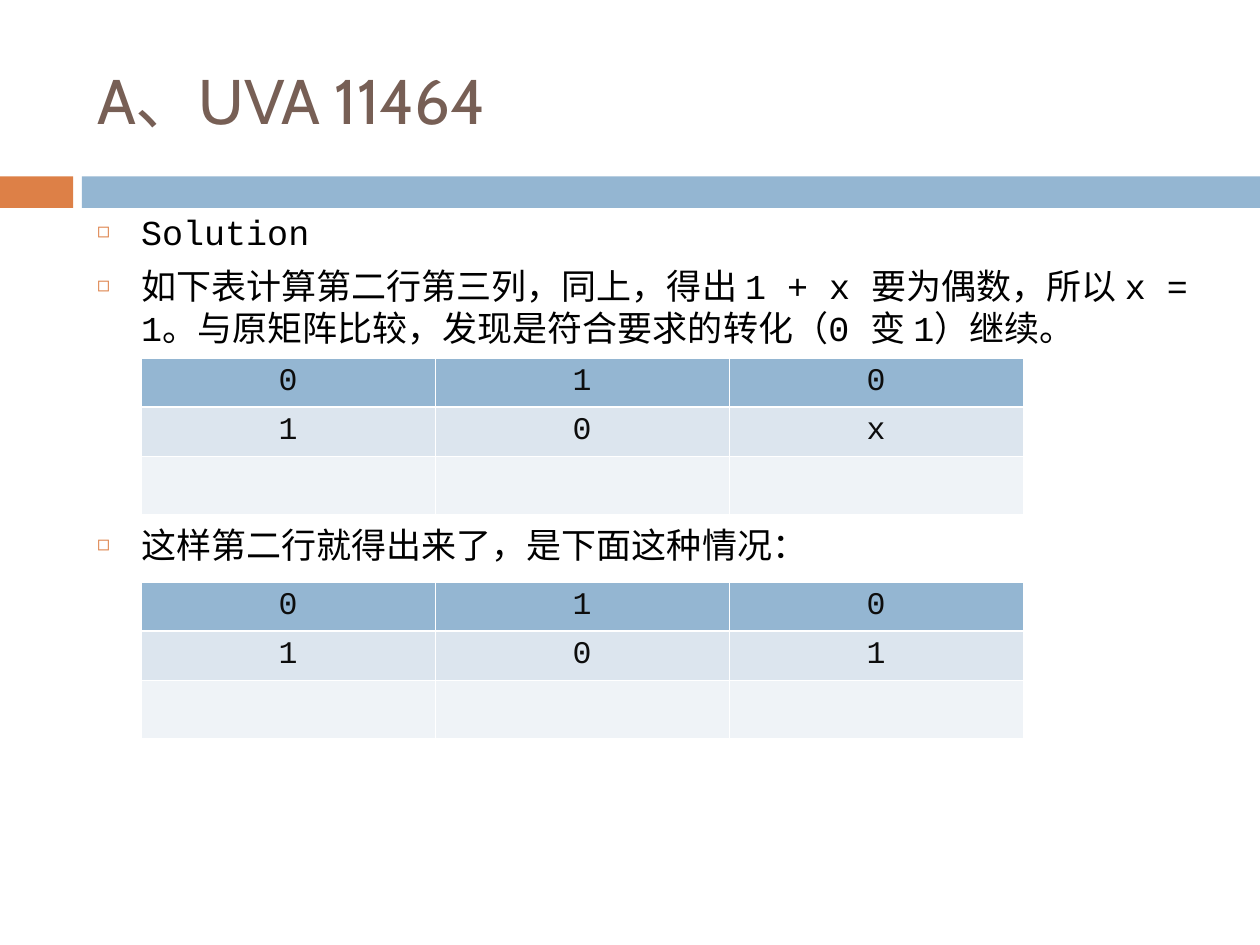
from dataclasses import dataclass

from lxml import etree
from pptx import Presentation
from pptx.dml.color import RGBColor
from pptx.enum.shapes import MSO_SHAPE
from pptx.enum.text import MSO_ANCHOR, MSO_AUTO_SIZE, PP_ALIGN
from pptx.oxml.ns import qn
from pptx.util import Inches, Pt

RECTANGLE = MSO_SHAPE.RECTANGLE
LEFT, CENTER = PP_ALIGN.LEFT, PP_ALIGN.CENTER
TOP, MIDDLE = MSO_ANCHOR.TOP, MSO_ANCHOR.MIDDLE
NO_AUTOFIT = MSO_AUTO_SIZE.NONE

GRID_COLUMNS, GRID_ROWS = 100, 75
SLIDE_WIDTH, SLIDE_HEIGHT = Inches(10), Inches(7.5)
ORANGE, BLUE, BROWN, WHITE = "DD8047", "94B6D2", "775F55", "FFFFFF"
ROW_FILLS = (BLUE, "DCE5EE", "EFF3F7")
ROW_HEIGHTS = (3.9, 3.9, 4.6)
THIN, THICK = 0.45, 1.47

TITLE_FORMAT = {"name": "Cabin", "size": Pt(36), "bold": False}
BODY_FORMAT = {"name": "Courier New", "size": Pt(20)}
CELL_FORMAT = {"name": "Courier New", "size": Pt(18), "bold": False}


@dataclass(frozen=True)
class Area:
    """A rectangle in grid columns and rows."""
    column: float
    row: float
    columns: float
    rows: float

    def box(self) -> tuple[int, int, int, int]:
        return across(self.column), down(self.row), across(self.columns), down(self.rows)


@dataclass(frozen=True)
class Bar:
    area: Area
    fill: str


@dataclass(frozen=True)
class Bullet:
    text: str
    space_before: float


@dataclass(frozen=True)
class Matrix:
    area: Area
    values: tuple[str, ...]


BARS = (
    Bar(Area(0, 14, 5.8, 2.5), ORANGE),
    Bar(Area(6.5, 14, 93.5, 2.5), BLUE),
)
TITLE_AREA = Area(6.7, 2.5, 89.2, 10.8)
BODY_AREA = Area(6.7, 16.2, 89.2, 49.5)
BULLETS = (
    Bullet("Solution", 0),
    Bullet("如下表计算第二行第三列，同上，得出 1 + x 要为偶数，所以 x = 1。"
           "与原矩阵比较，发现是符合要求的转化（0 变 1）继续。", 7),
    Bullet("这样第二行就得出来了，是下面这种情况：", 100),
)
MATRICES = (
    Matrix(Area(11.2, 28.4, 70, sum(ROW_HEIGHTS)), ("010", "10x", "")),
    Matrix(Area(11.2, 46.2, 70, sum(ROW_HEIGHTS)), ("010", "101", "")),
)


def across(columns: float) -> int:
    return round(SLIDE_WIDTH * columns / GRID_COLUMNS)


def down(rows: float) -> int:
    return round(SLIDE_HEIGHT * rows / GRID_ROWS)


def color(value: str) -> RGBColor:
    return RGBColor.from_string(value)


def set_font(font, values: dict, fill: str) -> None:
    for name, value in values.items():
        setattr(font, name, value)
    font.color.rgb = color(fill)


def place(shape, area: Area) -> None:
    for name, value in zip(("left", "top", "width", "height"), area.box()):
        setattr(shape, name, value)


def add_color(parent, tag: str, value: str) -> None:
    holder = etree.SubElement(parent, qn(tag))
    etree.SubElement(holder, qn("a:srgbClr"), val=value)


def add_bullet(para) -> None:
    properties = para._p.get_or_add_pPr()
    indent = Inches(0.35)
    properties.set("marL", str(indent))
    properties.set("indent", str(-indent))
    add_color(properties, "a:buClr", ORANGE)
    etree.SubElement(properties, qn("a:buSzPct"), val="60000")
    etree.SubElement(properties, qn("a:buChar"), char="◻")


def set_borders(cell, top: float, bottom: float) -> None:
    """Draw white borders; must run before the cell is filled."""
    properties = cell._tc.get_or_add_tcPr()
    for side, width in (("L", THIN), ("R", THIN), ("T", top), ("B", bottom)):
        line = etree.SubElement(properties, qn(f"a:ln{side}"), w=str(Pt(width)))
        add_color(line, "a:solidFill", WHITE)


def draw_bar(slide, bar: Bar) -> None:
    shape = slide.shapes.add_shape(RECTANGLE, *bar.area.box())
    shape.shadow.inherit = False
    shape.fill.solid()
    shape.fill.fore_color.rgb = color(bar.fill)
    shape.line.fill.background()


def fill_title(title, text: str) -> None:
    place(title, TITLE_AREA)
    frame = title.text_frame
    frame.text = text
    frame.auto_size = NO_AUTOFIT
    frame.vertical_anchor = MIDDLE
    para = frame.paragraphs[0]
    para.alignment = LEFT
    set_font(para.runs[0].font, TITLE_FORMAT, BROWN)


def fill_body(body, bullets: tuple[Bullet, ...]) -> None:
    place(body, BODY_AREA)
    frame = body.text_frame
    frame.text = "\n".join(bullet.text for bullet in bullets)
    frame.auto_size = NO_AUTOFIT
    frame.vertical_anchor = TOP
    for para, bullet in zip(frame.paragraphs, bullets):
        add_bullet(para)
        para.space_before = Pt(bullet.space_before)
        set_font(para.runs[0].font, BODY_FORMAT, "000000")


def draw_matrix(slide, matrix: Matrix) -> None:
    size = len(matrix.values)
    table = slide.shapes.add_table(size, size, *matrix.area.box()).table
    table.horz_banding = False
    for column in table.columns:
        column.width = across(matrix.area.columns / size)
    for index, (row, values) in enumerate(zip(table.rows, matrix.values)):
        row.height = down(ROW_HEIGHTS[index])
        top = THICK if index == 1 else THIN
        bottom = THICK if index == 0 else THIN
        for cell in row.cells:
            set_borders(cell, top, bottom)
            cell.fill.solid()
            cell.fill.fore_color.rgb = color(ROW_FILLS[index])
        for cell, value in zip(row.cells, values):
            cell.text = value
            para = cell.text_frame.paragraphs[0]
            para.alignment = CENTER
            set_font(para.runs[0].font, CELL_FORMAT, "0D0D0D")


def main() -> None:
    deck = Presentation()
    deck.slide_width, deck.slide_height = SLIDE_WIDTH, SLIDE_HEIGHT
    slide = deck.slides.add_slide(deck.slide_layouts[1])
    for bar in BARS:
        draw_bar(slide, bar)
    fill_title(slide.shapes.title, "A、UVA 11464")
    fill_body(slide.placeholders[1], BULLETS)
    for matrix in MATRICES:
        draw_matrix(slide, matrix)
    deck.save("out.pptx")


if __name__ == "__main__":
    main()
